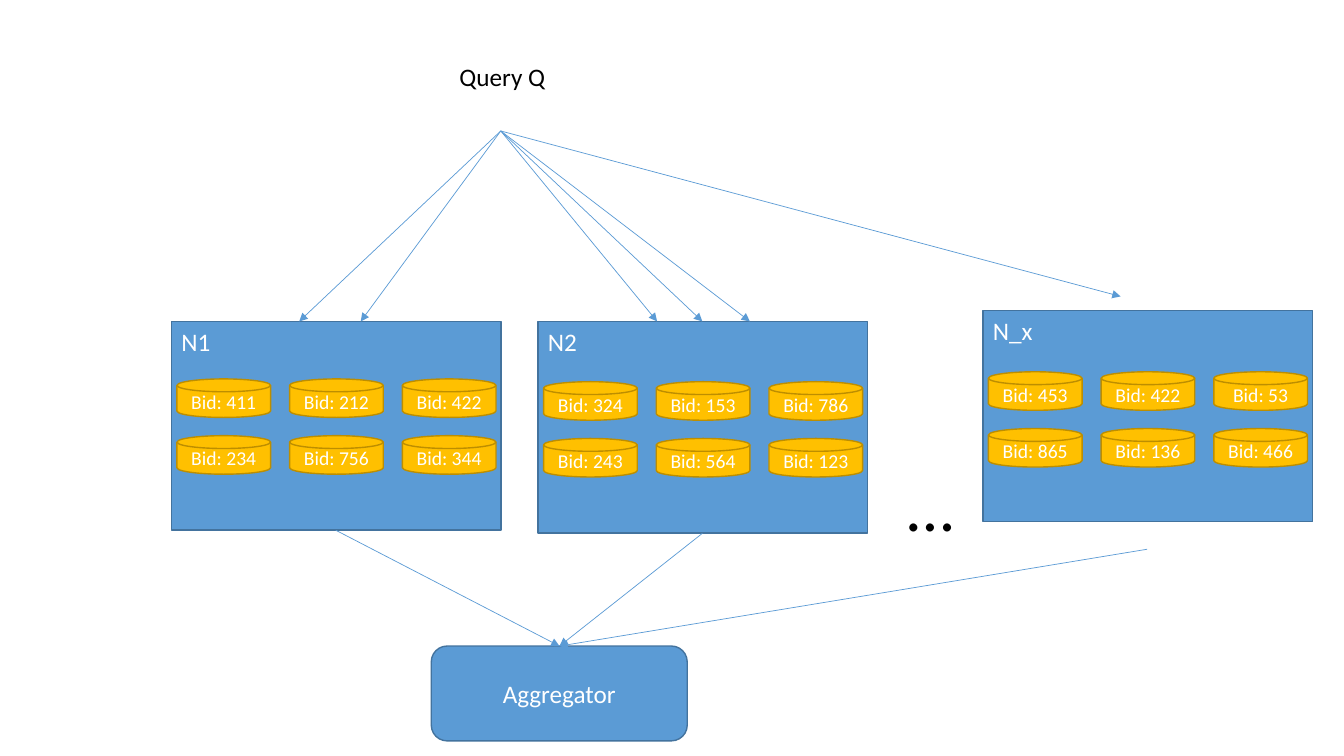
from dataclasses import dataclass

from lxml import etree
from pptx import Presentation
from pptx import util as u
from pptx.dml.color import RGBColor
from pptx.enum import shapes, text
from pptx.oxml import ns


@dataclass(frozen=True)
class Theme:
    """Colours, font and type sizes of the slide."""
    font: str = "Calibri"
    blue: str = "5B9BD5"
    blue_edge: str = "43739E"
    gold: str = "FFC000"
    gold_edge: str = "BD8E00"
    white: str = "FFFFFF"
    black: str = "000000"
    label: int = 18
    bid: int = 14
    dots: int = 48


THEME = Theme()
KIND = shapes.MSO_SHAPE
NODE_WIDTH = 8.31
DISK_SIZE = (2.36, 0.97)
DISK_INDENT = 0.14
DISK_PITCH = (2.84, 1.43)
DISK_COLUMNS = 3

NODES = [
    ("N2", 13.56, 8.1, 5.33, 1.52, [324, 153, 786, 243, 564, 123]),
    ("N1", 4.32, 8.1, 5.26, 1.45, [411, 212, 422, 234, 756, 344]),
    ("N_x", 24.77, 7.82, 5.33, 1.55, [453, 422, 53, 865, 136, 466]),
]
QUERY_POINT = (12.62, 3.3)
QUERY_TARGETS = [(7.54, 8.1), (9.09, 8.1), (16.56, 8.1),
                 (17.7, 8.1), (18.9, 8.1), (28.24, 7.47)]
RESULT_POINTS = [(8.46, 13.36), (17.7, 13.44), (28.91, 13.84)]
AGGREGATOR_POINT = (14.1, 16.28)


def write(shape, words, size, color, align, anchor):
    """Put one line of styled text in a shape."""
    frame = shape.text_frame
    frame.word_wrap = True
    frame.vertical_anchor = anchor
    para = frame.paragraphs[0]
    para.text = words
    para.alignment = align
    para.font.name = THEME.font
    para.font.size = u.Pt(size)
    para.font.color.rgb = RGBColor.from_string(color)


def add_box(parent, kind, area, words, size, fill, edge, centred=True):
    """Add a filled, outlined shape with white text."""
    box = parent.shapes.add_shape(kind, *map(u.Cm, area))
    box.shadow.inherit = False
    box.fill.solid()
    box.fill.fore_color.rgb = RGBColor.from_string(fill)
    box.line.color.rgb = RGBColor.from_string(edge)
    box.line.width = u.Pt(1)
    align = text.PP_ALIGN.CENTER if centred else text.PP_ALIGN.LEFT
    anchor = text.MSO_ANCHOR.MIDDLE if centred else text.MSO_ANCHOR.TOP
    write(box, words, size, THEME.white, align, anchor)


def add_label(page, area, words, size):
    """Add a plain black text box."""
    label = page.shapes.add_textbox(*map(u.Cm, area))
    write(label, words, size, THEME.black, text.PP_ALIGN.LEFT, text.MSO_ANCHOR.TOP)


def add_arrow(page, start, end):
    """Add a thin blue line with an arrowhead at its end."""
    arrow = page.shapes.add_connector(
        shapes.MSO_CONNECTOR.STRAIGHT, *map(u.Cm, (*start, *end)))
    arrow.line.color.rgb = RGBColor.from_string(THEME.blue)
    arrow.line.width = u.Pt(0.5)
    outline = arrow.line._get_or_add_ln()
    etree.SubElement(outline, ns.qn("a:tailEnd"), type="triangle")
    etree.SubElement(outline.getparent(), ns.qn("a:effectLst"))


def add_node(page, name, left, top, height, disk_offset, bids):
    """Add a grouped node holding a grid of bid disks."""
    node = page.shapes.add_group_shape()
    add_box(node, KIND.RECTANGLE, (left, top, NODE_WIDTH, height), name,
            THEME.label, THEME.blue, THEME.blue_edge, centred=False)
    for index, bid in enumerate(bids):
        row, column = divmod(index, DISK_COLUMNS)
        corner = (left + DISK_INDENT + column * DISK_PITCH[0],
                  top + disk_offset + row * DISK_PITCH[1])
        add_box(node, KIND.FLOWCHART_MAGNETIC_DISK, (*corner, *DISK_SIZE),
                f"Bid: {bid}", THEME.bid, THEME.gold, THEME.gold_edge)


def main():
    """Build the query distribution slide and save it."""
    deck = Presentation()
    deck.slide_width, deck.slide_height = u.Cm(33.87), u.Cm(19.05)
    page = deck.slides.add_slide(deck.slide_layouts[6])
    for node in NODES:
        add_node(page, *node)
    add_label(page, (22.61, 11.58, 5.16, 2.31), "…", THEME.dots)
    add_label(page, (11.33, 1.42, 3.56, 1.02), "Query Q", THEME.label)
    for target in QUERY_TARGETS:
        add_arrow(page, QUERY_POINT, target)
    add_box(page, KIND.ROUNDED_RECTANGLE, (10.87, 16.28, 6.45, 2.39),
            "Aggregator", THEME.label, THEME.blue, THEME.blue_edge)
    for point in RESULT_POINTS:
        add_arrow(page, point, AGGREGATOR_POINT)
    deck.save("out.pptx")


if __name__ == "__main__":
    main()
